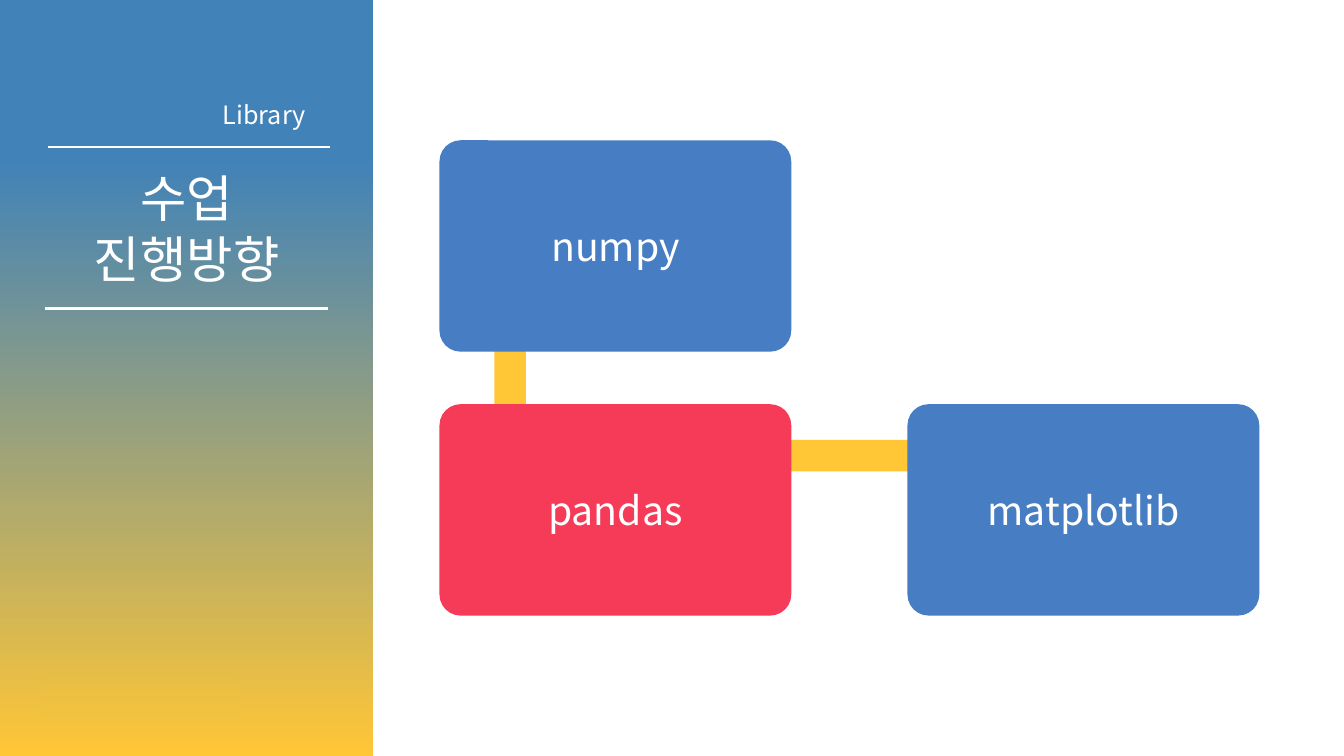
from lxml.etree import SubElement
from pptx import Presentation
from pptx.dml.color import RGBColor
from pptx.enum.shapes import MSO_CONNECTOR as Line, MSO_SHAPE as Shape
from pptx.enum.text import MSO_ANCHOR as Anchor, PP_ALIGN as Align
from pptx.oxml.ns import qn
from pptx.util import Pt

FONT = "Noto Sans CJK KR"
COLORS = {
    "white": "FFFFFF",
    "blue": "467DC3",
    "red": "F53B57",
    "yellow": "FFC636",
}
PANEL_STOPS = [(21, "4182B8"), (100, "FFC636")]
PATCH_STOPS = [(0, "E6BD47"), (41, "EDC042"), (69, "F1C140"), (100, "F6C33C")]
LIBRARIES = [("numpy", 0, 0, "blue"), ("pandas", 0, 1, "red"), ("matplotlib", 1, 1, "blue")]


def write(box, text, size=28, align=Align.CENTER, anchor=Anchor.MIDDLE, wrap=True):
    frame = box.text_frame
    frame.word_wrap = wrap
    frame.vertical_anchor = anchor
    frame.text = text
    for para in frame.paragraphs:
        para.alignment = align
        for span in para.runs:
            span.font.size = Pt(size)
            span.font.name = FONT
            span.font.color.rgb = RGBColor.from_string(COLORS["white"])
            SubElement(span.font._element, qn("a:ea"), typeface=FONT)


def add_block(page, kind, left, top, width, height, color=None, stops=None):
    block = page.shapes.add_shape(kind, Pt(left), Pt(top), Pt(width), Pt(height))
    block.shadow.inherit = False
    block.line.fill.background()
    if stops:
        block.fill.gradient()
        block.fill.gradient_angle = 270
        stop_list = block.element.xpath(".//a:gsLst")[0]
        for old_stop in list(stop_list):
            stop_list.remove(old_stop)
        for position, value in stops:
            stop = SubElement(stop_list, qn("a:gs"), pos=str(position * 1000))
            SubElement(stop, qn("a:srgbClr"), val=value)
    else:
        block.fill.solid()
        block.fill.fore_color.rgb = RGBColor.from_string(COLORS[color])
    return block


def add_rule(page, left, top, width):
    rule = page.shapes.add_connector(Line.STRAIGHT, Pt(left), Pt(top), Pt(left + width), Pt(top))
    rule.line.color.rgb = RGBColor.from_string(COLORS["white"])
    rule.line.width = Pt(1.5)
    SubElement(rule.element.spPr, qn("a:effectLst"))


def add_side_panel(page, left, top, width, height):
    add_block(page, Shape.RECTANGLE, left, top, width, height, stops=PANEL_STOPS)
    add_rule(page, left + 34, top + 105, 202)
    add_rule(page, left + 32.4, top + 220.4, 202)
    title = page.shapes.title
    title.element.getparent().append(title.element)
    title.left, title.top = Pt(left), Pt(top + 116)
    title.width, title.height = Pt(width), Pt(94.5)
    write(title, "수업\n진행방향", size=36, anchor=Anchor.TOP)
    add_block(page, Shape.RECTANGLE, left + 29, top + 480, 141, 41, stops=PATCH_STOPS)
    label = page.shapes.add_textbox(Pt(left + 152), Pt(top + 67.7), Pt(84), Pt(29))
    write(label, "Library", size=18, align=Align.LEFT, anchor=Anchor.TOP, wrap=False)


def add_library_flow(page, left, top, width, height):
    card_width, card_height = 251.3, 151
    column_step, row_step = width - card_width, height - card_height
    bar = 22.5
    add_block(page, Shape.RECTANGLE, left + 39.3, top + 38, bar, row_step, "yellow")
    add_block(page, Shape.RECTANGLE, left + 51, top + row_step + 25.6, column_step, bar, "yellow")
    for name, column, row, color in LIBRARIES:
        card = add_block(page, Shape.ROUNDED_RECTANGLE, left + column * column_step,
                         top + row * row_step, card_width, card_height, color)
        card.adjustments[0] = 0.1
        write(card, name)


def main():
    deck = Presentation()
    deck.slide_width, deck.slide_height = Pt(960), Pt(540)
    page = deck.slides.add_slide(deck.slide_layouts[5])
    add_side_panel(page, 0, 0, 266.7, 540)
    add_library_flow(page, 313.9, 100.2, 585.6, 339.5)
    deck.save("out.pptx")


if __name__ == "__main__":
    main()
